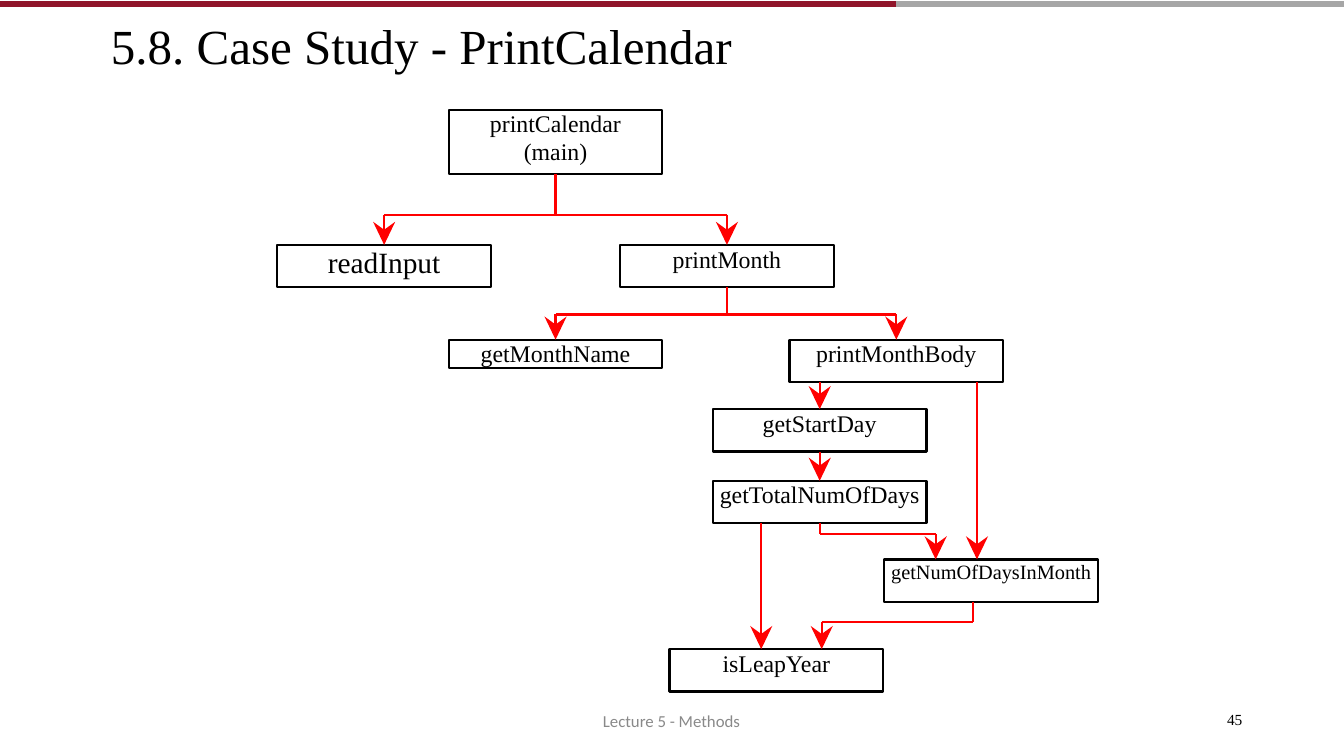
from dataclasses import dataclass

import pptx
import pptx.dml.color
import pptx.enum.shapes
import pptx.enum.text
import pptx.oxml
import pptx.oxml.ns
import pptx.util
from pptx.util import Inches

ALIGN = pptx.enum.text.PP_ALIGN


@dataclass(frozen=True)
class Theme:
    ink: str = "000000"
    arrow: str = "FF0000"
    muted: str = "898989"
    maroon: str = "90152A"
    gray: str = "A6A6A6"
    serif: str = "Times New Roman"
    sans: str = "Calibri"
    title: float = 35
    label: float = 17
    large_label: float = 21
    small_label: float = 14.5
    footer: float = 12
    number: float = 11
    stroke: float = 1.53
    rule: float = 4


@dataclass(frozen=True)
class Area:
    left: float
    top: float
    width: float
    height: float

    def inside(self, left, top, width, height):
        return Area(self.left + left, self.top + top, width, height)

    def lengths(self):
        return [Inches(value) for value in (self.left, self.top, self.width, self.height)]


THEME = Theme()
BOX_WIDTH = 2.12
STEM_GAP = 0.15
ARROW_OUTLINE = [(0.11, -0.23), (0, -0.15), (-0.11, -0.23)]

METHODS = {
    "printCalendar": (1.7, 0, 0.64, THEME.label, 19.8, ["printCalendar", "(main)"]),
    "readInput": (0, 1.34, 0.42, THEME.large_label, 24.6, ["readInput"]),
    "printMonth": (3.4, 1.34, 0.42, THEME.label, 19.9, ["printMonth"]),
    "getMonthName": (1.7, 2.28, 0.28, THEME.label, 19.9, ["getMonthName"]),
    "printMonthBody": (5.08, 2.28, 0.42, THEME.label, 19.9, ["printMonthBody"]),
    "getStartDay": (4.32, 2.97, 0.42, THEME.label, 19.9, ["getStartDay"]),
    "getTotalNumOfDays": (4.32, 3.68, 0.42, THEME.label, 19.9, ["getTotalNumOfDays"]),
    "getNumOfDaysInMonth": (6.02, 4.46, 0.42, THEME.small_label, 17.2, ["getNumOfDaysInMonth"]),
    "isLeapYear": (3.89, 5.35, 0.42, THEME.label, 19.9, ["isLeapYear"]),
}

CALLS = [
    ("printCalendar", 2.76, 1.04, [("readInput", 1.06), ("printMonth", 4.46)]),
    ("printMonth", 4.46, 2.03, [("getMonthName", 2.76), ("printMonthBody", 6.14)]),
    ("printMonthBody", 5.38, None, [("getStartDay", 5.38)]),
    ("getStartDay", 5.38, None, [("getTotalNumOfDays", 5.38)]),
    ("getTotalNumOfDays", 5.38, 4.21, [("getNumOfDaysInMonth", 6.53)]),
    ("getTotalNumOfDays", 4.8, None, [("isLeapYear", 4.8)]),
    ("printMonthBody", 6.94, None, [("getNumOfDaysInMonth", 6.94)]),
    ("getNumOfDaysInMonth", 6.9, 5.08, [("isLeapYear", 5.4)]),
]


def color(value):
    return pptx.dml.color.RGBColor.from_string(value)


def write(box, lines, size, tint=THEME.ink, font=THEME.serif, align=ALIGN.LEFT,
          spacing=None, wrap=True, top=0):
    frame = box.text_frame
    frame.auto_size = pptx.enum.text.MSO_AUTO_SIZE.NONE
    frame.word_wrap = wrap
    frame.vertical_anchor = pptx.enum.text.MSO_ANCHOR.TOP
    frame.margin_left = frame.margin_right = frame.margin_bottom = 0
    frame.margin_top = Inches(top)
    for index, line in enumerate(lines):
        para = frame.add_paragraph() if index else frame.paragraphs[0]
        para.alignment = align
        if spacing:
            para.line_spacing = pptx.util.Pt(spacing)
        span = para.add_run()
        span.text = line
        span.font.name = font
        span.font.size = pptx.util.Pt(size)
        span.font.color.rgb = color(tint)


def draw_line(page, start, end, tint=THEME.arrow, width=THEME.stroke, source=None):
    line = page.shapes.add_connector(
        pptx.enum.shapes.MSO_CONNECTOR.STRAIGHT,
        *[Inches(value) for value in (*start, *end)])
    if source is not None:
        line.begin_connect(source, 2)
    line.line.color.rgb = color(tint)
    line.line.width = pptx.util.Pt(width)
    properties = line._element.spPr
    properties.append(pptx.oxml.parse_xml(
        "<a:effectLst %s/>" % pptx.oxml.ns.nsdecls("a")))


def draw_arrowhead(page, x, y):
    builder = page.shapes.build_freeform(Inches(x), Inches(y))
    builder.add_line_segments(
        [(Inches(x + across), Inches(y + down)) for across, down in ARROW_OUTLINE], close=True)
    head = builder.convert_to_shape()
    head.shadow.inherit = False
    head.fill.solid()
    head.fill.fore_color.rgb = color(THEME.arrow)
    head.line.fill.background()


def draw_method(page, area, size, spacing, lines):
    box = page.shapes.add_shape(pptx.enum.shapes.MSO_SHAPE.RECTANGLE, *area.lengths())
    box.shadow.inherit = False
    box.fill.background()
    box.line.color.rgb = color(THEME.ink)
    box.line.width = pptx.util.Pt(THEME.stroke)
    write(box, lines, size, align=ALIGN.CENTER, spacing=spacing)
    return box


def draw_call(page, area, boxes, caller, exit_x, bus_y, targets):
    left, top, height = METHODS[caller][:3]
    bottom = area.top + top + height
    exit_x += area.left
    centered = abs(exit_x - area.left - left - BOX_WIDTH / 2) < 0.01
    source = boxes[caller] if centered else None
    tips = [(area.left + x, area.top + METHODS[name][1]) for name, x in targets]
    drop = bottom
    if bus_y is not None:
        drop = area.top + bus_y
        ends = [exit_x] + [x for x, _ in tips]
        draw_line(page, (exit_x, bottom), (exit_x, drop), source=source)
        draw_line(page, (min(ends), drop), (max(ends), drop))
        source = None
    for x, y in tips:
        draw_line(page, (x, drop), (x, y - STEM_GAP), source=source)
        draw_arrowhead(page, x, y)


def draw_call_tree(page, area):
    boxes = {
        name: draw_method(page, area.inside(left, top, BOX_WIDTH, height), size, spacing, lines)
        for name, (left, top, height, size, spacing, lines) in METHODS.items()
    }
    for call in CALLS:
        draw_call(page, area, boxes, *call)


def draw_header(page, area):
    split = area.left + area.width * 2 / 3
    right = area.left + area.width
    rule_y = area.top + 0.04
    draw_line(page, (split, rule_y), (right, rule_y), THEME.gray, THEME.rule)
    draw_line(page, (area.left, rule_y), (split, rule_y), THEME.maroon, THEME.rule)
    title = page.shapes.title
    title.left, title.top, title.width, title.height = area.inside(1.1, 0.13, 7.18, 0.6).lengths()
    write(title, ["5.8. Case Study - PrintCalendar"], THEME.title, top=0.02)


def draw_footer(page, area):
    lecture = page.shapes.add_textbox(*area.inside(5.98, 0, 1.39, 0.23).lengths())
    write(lecture, ["Lecture 5 - Methods"], THEME.footer, THEME.muted, THEME.sans,
          wrap=False, top=0.02)
    number = page.shapes.add_textbox(*area.inside(12.17, 0.02, 0.2, 0.2).lengths())
    write(number, ["45"], THEME.number, spacing=13, wrap=False)


def main():
    deck = pptx.Presentation()
    deck.slide_width = Inches(13.33)
    deck.slide_height = Inches(7.5)
    page = deck.slides.add_slide(deck.slide_layouts[5])
    draw_call_tree(page, Area(2.75, 1.09, 8.14, 5.77))
    draw_header(page, Area(0, 0, 13.33, 0.75))
    draw_footer(page, Area(0, 7.03, 13.33, 0.25))
    deck.save("out.pptx")


if __name__ == "__main__":
    main()
